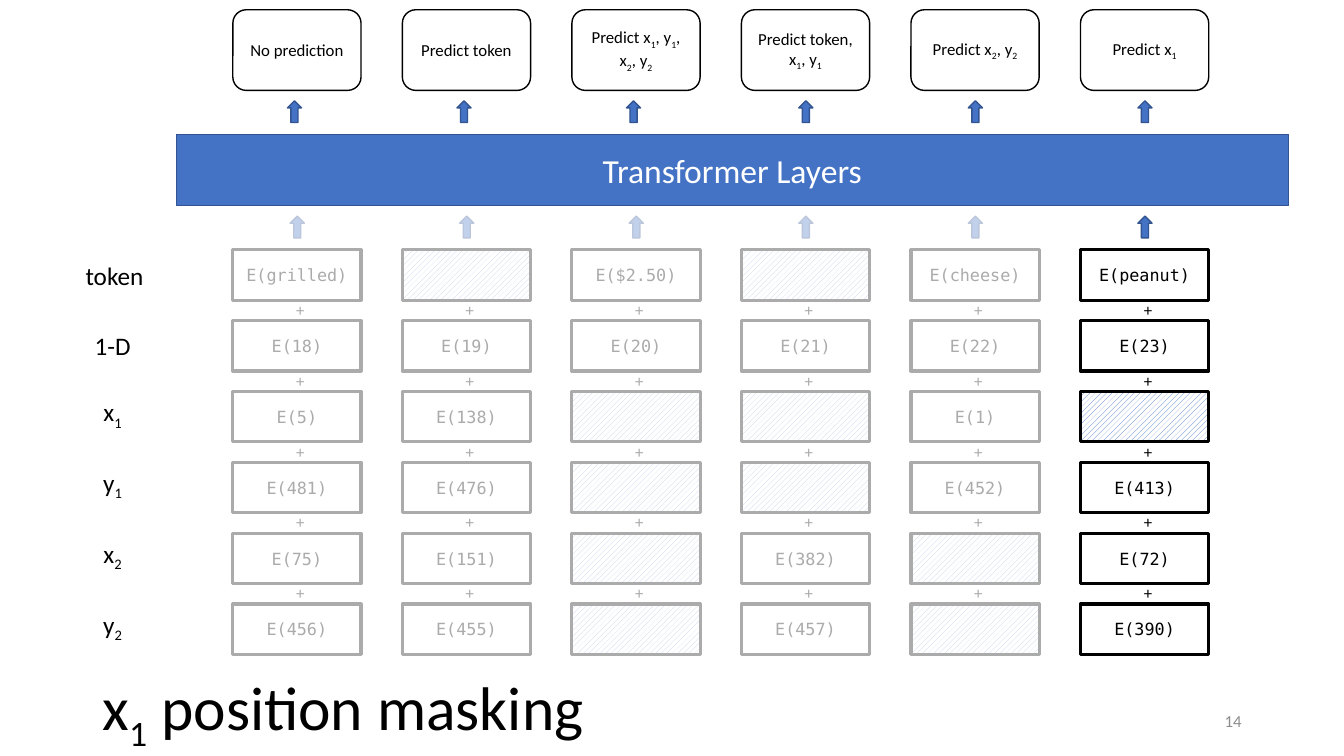
from dataclasses import dataclass
from typing import NamedTuple

from lxml import etree
from pptx import Presentation
from pptx.dml.color import RGBColor
from pptx.enum.dml import MSO_PATTERN
from pptx.enum.shapes import MSO_SHAPE
from pptx.enum.text import MSO_ANCHOR, MSO_AUTO_SIZE, PP_ALIGN
from pptx.oxml.ns import qn
from pptx.util import Pt

RECTANGLE = MSO_SHAPE.RECTANGLE
ROUNDED = MSO_SHAPE.ROUNDED_RECTANGLE
UP_ARROW = MSO_SHAPE.UP_ARROW
HATCH = MSO_PATTERN.WIDE_UPWARD_DIAGONAL
LEFT, CENTER, RIGHT = PP_ALIGN.LEFT, PP_ALIGN.CENTER, PP_ALIGN.RIGHT
TOP, MIDDLE = MSO_ANCHOR.TOP, MSO_ANCHOR.MIDDLE

BLACK, WHITE, GRAY = "000000", "FFFFFF", "8C8C8C"
BLUE, DARK_BLUE = "4472C4", "325491"
SANS, MONO = "Calibri", "DejaVu Sans Mono"

# Grid of embedding cells, in points
GRID_LEFT, GRID_TOP = 166.3, 178.5
COLUMN_PITCH, ROW_PITCH = 121.1, 50.6
CELL_WIDTH, CELL_HEIGHT = 91.6, 36


class Box(NamedTuple):
    left: float
    top: float
    width: float
    height: float


@dataclass
class TokenColumn:
    prediction: str
    embeddings: tuple  # one value per row, None where the input is masked
    output_arrow_offset: float


@dataclass
class RowLabel:
    text: str
    left: float = 34.6
    anchor: MSO_ANCHOR = TOP


# "_" puts the next character in subscript
COLUMNS = [
    TokenColumn("No prediction", ("grilled", 18, 5, 481, 75, 456), 39),
    TokenColumn("Predict token", (None, 19, 138, 476, 151, 455), 39),
    TokenColumn("Predict x_1, y_1, x_2, y_2", ("$2.50", 20, None, None, None, None), 39),
    TokenColumn("Predict token, x_1, y_1", (None, 21, None, None, 382, 457), 41),
    TokenColumn("Predict x_2, y_2", ("cheese", 22, 1, 452, None, None), 41),
    TokenColumn("Predict x_1", ("peanut", 23, None, 413, 72, 390), 41),
]
ROW_LABELS = [
    RowLabel("token", 36, MIDDLE), RowLabel("1-D", anchor=MIDDLE),
    RowLabel("x_1"), RowLabel("y_1"), RowLabel("x_2"), RowLabel("y_2"),
]
FADED_AREAS = [Box(139, 153.4, 254.9, 321.8), Box(399.6, 153.4, 366.5, 321.8)]


def rgb(color: str) -> RGBColor:
    return RGBColor.from_string(color)


def points(box: Box) -> list:
    return [Pt(length) for length in box]


def write(shape, text: str, *, size=12, font=SANS, color=BLACK,
          align=CENTER, anchor=MIDDLE) -> None:
    frame = shape.text_frame
    frame.word_wrap = True
    frame.auto_size = MSO_AUTO_SIZE.NONE
    frame.vertical_anchor = anchor
    paragraph = frame.paragraphs[0]
    paragraph.alignment = align
    first, *rest = text.split("_")
    pieces = [(first, False)]
    for part in rest:
        pieces += [(part[0], True), (part[1:], False)]
    for piece, subscript in pieces:
        if not piece:
            continue
        run = paragraph.add_run()
        run.text = piece
        run.font.size, run.font.name = Pt(size), font
        run.font.color.rgb = rgb(color)
        if subscript:
            run.font._element.set("baseline", "-25000")


def add_text(slide, box: Box, text: str, **text_format):
    shape = slide.shapes.add_textbox(*points(box))
    write(shape, text, **text_format)
    return shape


def add_figure(slide, kind: MSO_SHAPE, box: Box, *, fill=None, line=None, line_width=1):
    shape = slide.shapes.add_shape(kind, *points(box))
    shape.shadow.inherit = False
    if fill:
        shape.fill.solid()
        shape.fill.fore_color.rgb = rgb(fill)
    else:
        shape.fill.background()
    if line:
        shape.line.color.rgb = rgb(line)
        shape.line.width = Pt(line_width)
    else:
        shape.line.fill.background()
    return shape


def add_cell(slide, box: Box, value) -> None:
    cell = add_figure(slide, RECTANGLE, box, line=BLACK, line_width=2.25)
    if value is None:
        cell.fill.patterned()
        cell.fill.pattern = HATCH
        cell.fill.fore_color.rgb = rgb(BLUE)
        cell.fill.back_color.rgb = rgb(WHITE)
    else:
        write(cell, f"E({value})", font=MONO)


def add_arrow(slide, left: float, top: float) -> None:
    add_figure(slide, UP_ARROW, Box(left, top, 10.1, 15.5), fill=BLUE, line=DARK_BLUE)


def add_column(slide, left: float, column: TokenColumn) -> None:
    prediction = add_figure(slide, ROUNDED, Box(left, 7, CELL_WIDTH, 57.6),
                            fill=WHITE, line=BLACK)
    write(prediction, column.prediction)
    add_arrow(slide, left + column.output_arrow_offset, 72)
    add_arrow(slide, left + 41, 154.4)
    for row, value in enumerate(column.embeddings):
        top = GRID_TOP + row * ROW_PITCH
        add_cell(slide, Box(left, top, CELL_WIDTH, CELL_HEIGHT), value)
        if row:
            plus = add_text(slide, Box(left + 39, top - 18.8, 14.4, 21.8), "+")
            plus.text_frame.margin_left, plus.text_frame.margin_right = Pt(4), Pt(0)


def add_faded_area(slide, box: Box) -> None:
    veil = add_figure(slide, RECTANGLE, box, fill=WHITE)
    color = veil.fill._xPr.find(f"{qn('a:solidFill')}/{qn('a:srgbClr')}")
    etree.SubElement(color, qn("a:alpha")).set("val", "67000")


def main() -> None:
    presentation = Presentation()
    presentation.slide_width, presentation.slide_height = Pt(960), Pt(540)
    slide = presentation.slides.add_slide(presentation.slide_layouts[5])

    # Title
    title = slide.shapes.title
    title.left, title.top, title.width, title.height = points(Box(66, 475.2, 828, 58.3))
    write(title, "x_1 position masking", size=44, align=LEFT, anchor=TOP)
    title.text_frame.paragraphs[0].line_spacing = 0.9

    # Transformer bar
    transformer = add_figure(slide, RECTANGLE, Box(126, 96, 794.2, 50.6),
                             fill=BLUE, line=DARK_BLUE)
    write(transformer, "Transformer Layers", size=24, color=WHITE)

    # Row labels and token columns
    for row, label in enumerate(ROW_LABELS):
        box = Box(label.left, GRID_TOP + row * ROW_PITCH, CELL_WIDTH, CELL_HEIGHT)
        add_text(slide, box, label.text, size=18, anchor=label.anchor)
    for index, column in enumerate(COLUMNS):
        add_column(slide, GRID_LEFT + index * COLUMN_PITCH, column)

    # Veils over the inactive columns
    for area in FADED_AREAS:
        add_faded_area(slide, area)

    # Slide number
    add_text(slide, Box(678, 500.5, 216, 28.8), "14", color=GRAY, align=RIGHT)

    presentation.save("out.pptx")


if __name__ == "__main__":
    main()
